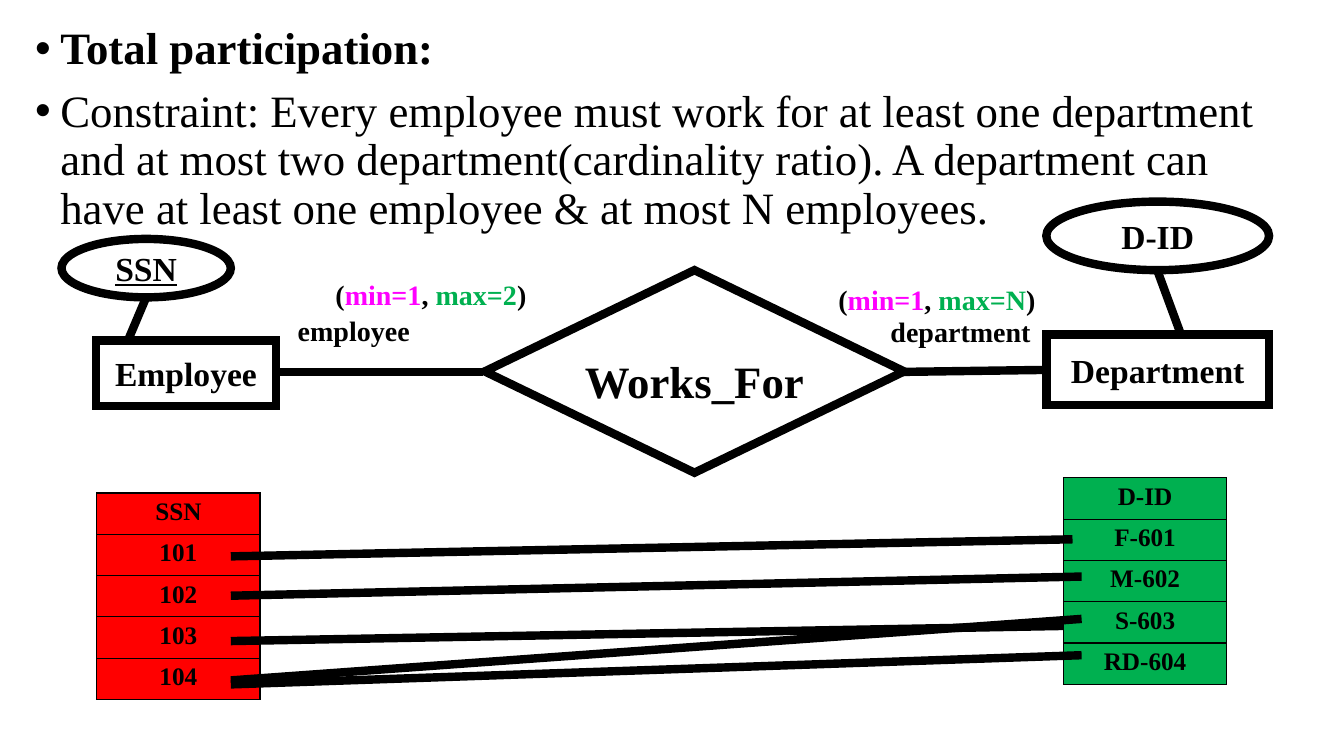
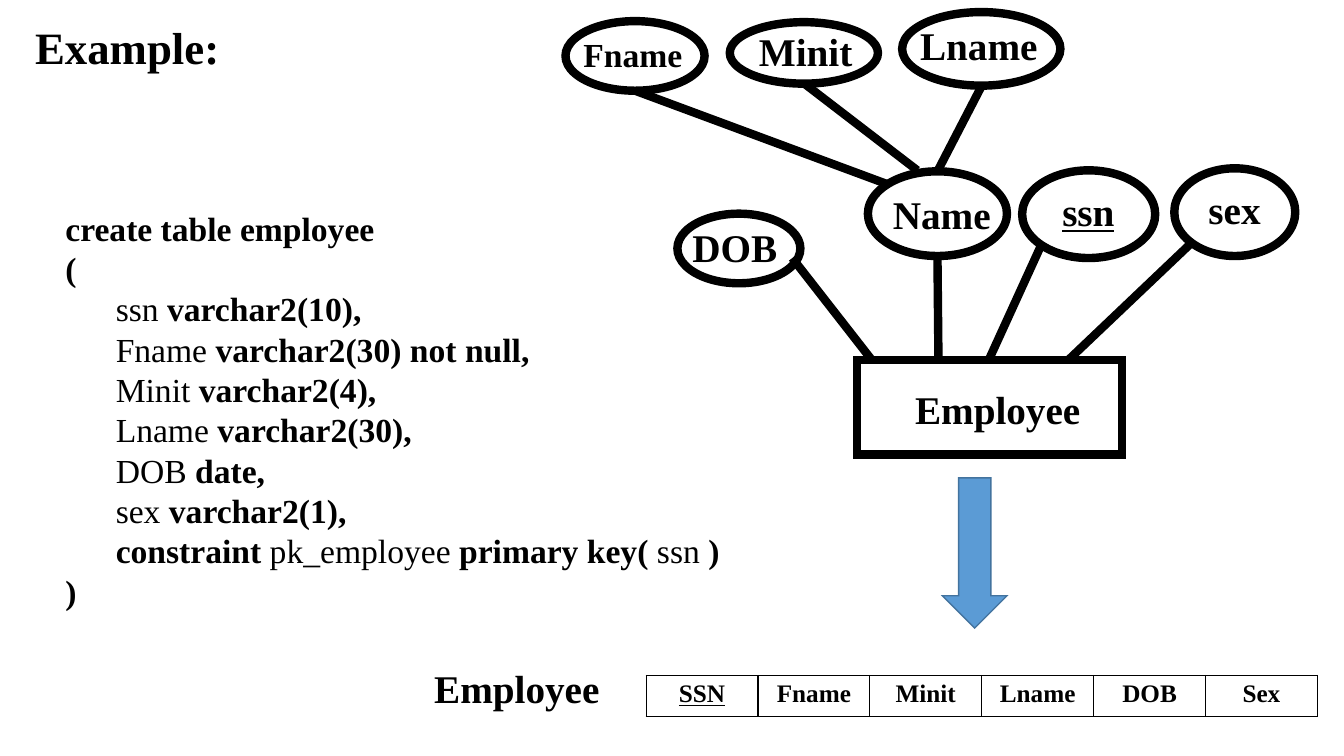
"""Build two slides on total participation and an entity-to-table example."""
from lxml import etree
from pptx import Presentation
from pptx import util as u
from pptx.dml.color import RGBColor
from pptx.enum import shapes, text
from pptx.oxml.ns import qn

CELL = u.Inches(0.1)
FONT = "Times New Roman"
BLACK, WHITE, RED, GREEN, PINK = "000000", "FFFFFF", "FF0000", "00B050", "FF00FF"
BLUE, DARK_BLUE = "5B9BD5", "43739E"
STROKE = u.Pt(6)
BODY = (2.5, 2.1, 127, 70.4)
ROW = 4.1

colour = RGBColor.from_string
CENTER, MIDDLE = text.PP_ALIGN.CENTER, text.MSO_ANCHOR.MIDDLE
RECTANGLE = shapes.MSO_SHAPE.RECTANGLE
ELLIPSE = shapes.MSO_SHAPE.OVAL
DIAMOND = shapes.MSO_SHAPE.DIAMOND


def add_run(paragraph, words, size, bold=True, color=BLACK, underline=False):
    run = paragraph.add_run()
    run.text = words
    run.font.name = FONT
    run.font.size = u.Pt(size)
    run.font.bold = bold
    run.font.underline = underline
    run.font.color.rgb = colour(color)


def add_box(slide, place, kind=None, fill=WHITE, line=BLACK, width=STROKE):
    lengths = [round(CELL * cells) for cells in place]
    if kind is None:
        shape = slide.shapes.add_textbox(*lengths)
    else:
        shape = slide.shapes.add_shape(kind, *lengths)
        shape.shadow.inherit = False
        shape.fill.solid()
        shape.fill.fore_color.rgb = colour(fill)
        shape.line.width = width
        shape.line.color.rgb = colour(line)
        outline = shape._element.spPr.find(qn("a:ln"))
        etree.SubElement(outline, qn("a:miter"), lim="800000")
    shape.text_frame.word_wrap = True
    return shape


presentation = Presentation()
presentation.slide_width = round(CELL * 133.33)
presentation.slide_height = round(CELL * 75)
participation, example = [
    presentation.slides.add_slide(presentation.slide_layouts[6]) for _ in range(2)
]

bodies = [
    (participation, True, [
        ("Total participation:", True),
        ("Constraint: Every employee must work for at least one department and at "
         "most two department(cardinality ratio). A department can have at least "
         "one employee & at most N employees.", False),
    ]),
    (example, False, [("Example:", True)]),
]
for slide, bulleted, lines in bodies:
    frame = add_box(slide, BODY).text_frame
    for index, (words, bold) in enumerate(lines):
        paragraph = frame.add_paragraph() if index else frame.paragraphs[0]
        paragraph.line_spacing = 0.9
        paragraph.space_before = u.Pt(10 if index else 0)
        if bulleted:
            properties = paragraph._p.get_or_add_pPr()
            properties.set("marL", str(u.Inches(0.25)))
            properties.set("indent", str(-u.Inches(0.25)))
            etree.SubElement(properties, qn("a:buFont"), typeface="Arial")
            etree.SubElement(properties, qn("a:buChar"), char="•")
        add_run(paragraph, words, 32, bold)

entities = [
    ("Employee", RECTANGLE, (9.5, 33.8, 17.9, 6.5), False),
    ("SSN", ELLIPSE, (6.1, 23.7, 16.8, 5.8), True),
    ("Department", RECTANGLE, (103.8, 33.2, 22.1, 7), False),
    ("D-ID", ELLIPSE, (103.8, 20, 22.1, 6.8), False),
]
for name, kind, place, is_key in entities:
    frame = add_box(participation, place, kind).text_frame
    frame.vertical_anchor = MIDDLE
    frame.paragraphs[0].alignment = CENTER
    add_run(frame.paragraphs[0], name, 24, underline=is_key)

add_box(participation, (48.1, 26.8, 41.6, 20.1), DIAMOND)
paragraph = add_box(participation, (55.8, 34.6, 26.2, 6)).text_frame.paragraphs[0]
paragraph.alignment = CENTER
add_run(paragraph, "Works_For", 32)

roles = [
    ((31.9, 26.7, 21.7, 4.9), [("(", BLACK), ("min=1", PINK), (", ", BLACK),
                               ("max=2", GREEN), (")", BLACK)]),
    ((27.6, 31.2, 15, 3.1), [("employee", BLACK)]),
    ((82.1, 27.2, 21.7, 4.9), [("(", BLACK), ("min=1", PINK), (", ", BLACK),
                               ("max=N", GREEN), (")", BLACK)]),
    ((86.8, 31.3, 17, 3.2), [("department", BLACK)]),
]
for place, pieces in roles:
    frame = add_box(participation, place).text_frame
    frame.vertical_anchor = MIDDLE
    frame.paragraphs[0].alignment = CENTER
    for words, color in pieces:
        add_run(frame.paragraphs[0], words, 20, color=color)

add_box(example, (85, 35.7, 26.3, 9.4), RECTANGLE)
add_box(example, (93.5, 47.4, 6.4, 14.9), shapes.MSO_SHAPE.DOWN_ARROW,
        BLUE, DARK_BLUE, u.Pt(1))
attributes = [
    (72.4, 2.2, 14.7, 6.1),
    (101.4, 16.9, 13.2, 8.7),
    (116.5, 16.7, 12, 8.7),
    (86.1, 17, 13.8, 8.4),
    (89.5, 1.2, 15.7, 7.3),
    (67.2, 21.2, 12.2, 6.9),
    (56.1, 2.1, 13.8, 6.9),
]
for place in attributes:
    add_box(example, place, ELLIPSE)

labels = [
    ("Minit", 74.3, 2.2, 28),
    ("ssn", 104.4, 18.1, 28),
    ("sex", 118.9, 17.9, 28),
    ("Name", 87.6, 18.4, 28),
    ("Lname", 90.3, 1.6, 28),
    ("DOB", 67.7, 21.7, 28),
    ("Fname", 56.9, 2.9, 24),
    ("Employee", 89.8, 37.7, 28),
    ("Employee", 42.1, 65.4, 28),
]
for name, left, top, size in labels:
    frame = add_box(example, (left, top, 20, 5.7)).text_frame
    frame.word_wrap = False
    frame.word_wrap = True
    add_run(frame.paragraphs[0], name, size, underline=name == "ssn")

statement = [
    (0, [("create table employee", True)]),
    (0, [("(", True)]),
    (0.5, [("ssn", False), (" varchar2(10),", True)]),
    (0.5, [("Fname", False), (" varchar2(30) not null,", True)]),
    (0.5, [("Minit", False), (" varchar2(4),", True)]),
    (0.5, [("Lname", False), (" varchar2(30),", True)]),
    (0.5, [("DOB", False), (" date,", True)]),
    (0.5, [("sex", False), (" varchar2(1),", True)]),
    (0.5, [("constraint ", True), ("pk_employee", False),
           (" primary key( ", True), ("ssn", False), (" )", True)]),
    (0, [(")", True)]),
]
frame = add_box(example, (5.5, 20.1, 69.2, 41.4)).text_frame
for index, (indent, pieces) in enumerate(statement):
    paragraph = frame.add_paragraph() if index else frame.paragraphs[0]
    paragraph._p.get_or_add_pPr().set("marL", str(u.Inches(indent)))
    for words, bold in pieces:
        add_run(paragraph, words, 24, bold)

tables = [
    (participation, 9.6, 48.9, 16.2, RED, None,
     [["SSN"], ["101"], ["102"], ["103"], ["104"]]),
    (participation, 105.5, 47.4, 16.2, GREEN, None,
     [["D-ID"], ["F-601"], ["M-602"], ["S-603"], ["RD-604"]]),
    (example, 64.1, 67, 11.1, WHITE, "SSN",
     [["SSN", "Fname", "Minit", "Lname", "DOB", "Sex"]]),
]
for slide, left, top, column_width, fill, key, rows in tables:
    place = (left, top, column_width * len(rows[0]), ROW * len(rows))
    table = slide.shapes.add_table(
        len(rows), len(rows[0]), *[round(CELL * cells) for cells in place]).table
    table.first_row = False
    table.horz_banding = False
    for row_index, row in enumerate(rows):
        for column_index, value in enumerate(row):
            cell = table.cell(row_index, column_index)
            properties = cell._tc.get_or_add_tcPr()
            for side in ("a:lnL", "a:lnR", "a:lnT", "a:lnB"):
                border = etree.SubElement(properties, qn(side), w=str(u.Pt(1)))
                paint = etree.SubElement(border, qn("a:solidFill"))
                etree.SubElement(paint, qn("a:srgbClr"), val=BLACK)
            cell.fill.solid()
            cell.fill.fore_color.rgb = colour(fill)
            paragraph = cell.text_frame.paragraphs[0]
            paragraph.alignment = CENTER
            add_run(paragraph, value, 18, underline=value == key)

links = [
    (participation, [
        (12.6, 34, 14.5, 29.5), (117.2, 33.3, 114.8, 26.8),
        (27.5, 36.9, 47.9, 36.9), (89.3, 36.9, 103.8, 36.7),
        (22.9, 55.2, 106.4, 53.5), (22.9, 59.1, 107.3, 57.2),
        (22.9, 63.6, 105.5, 62.1), (22.9, 67.9, 107.3, 65),
        (22.9, 67.5, 107.3, 61.4),
    ]),
    (example, [
        (93.1, 35.6, 93, 25.5), (86.4, 35.6, 78.6, 25.6),
        (91, 16.9, 79.8, 8.3), (98.1, 35.7, 103.3, 24.3),
        (106, 35.7, 118.2, 24.1), (93, 17, 97.4, 8.5),
        (88.1, 18.3, 63, 9),
    ]),
]
for slide, ends in links:
    for end in ends:
        connector = slide.shapes.add_connector(
            shapes.MSO_CONNECTOR.STRAIGHT, *[round(CELL * cells) for cells in end])
        connector.line.width = STROKE
        connector.line.color.rgb = colour(BLACK)
        etree.SubElement(connector._element.spPr, qn("a:effectLst"))

presentation.save("out.pptx")
